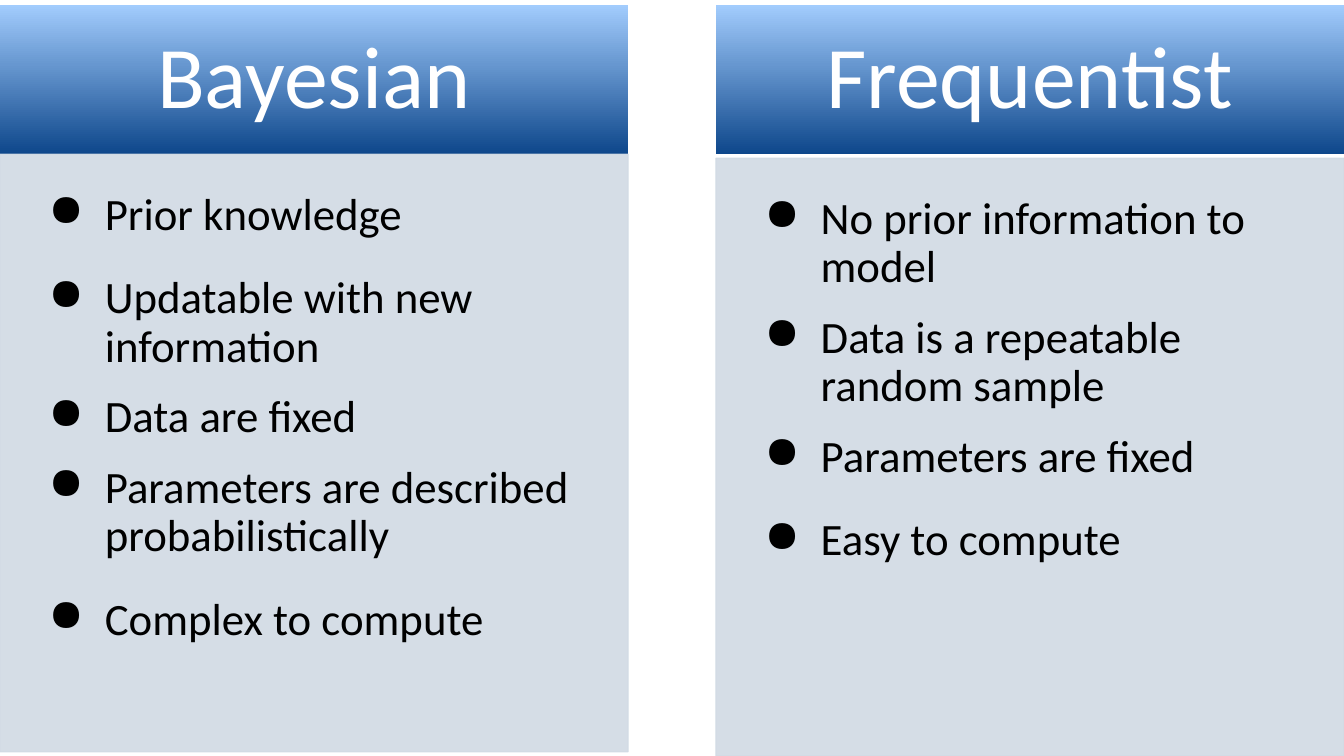
from lxml.etree import SubElement
from pptx import Presentation
from pptx.dml.color import RGBColor
from pptx.enum.shapes import MSO_SHAPE
from pptx.enum.text import MSO_ANCHOR, PP_ALIGN
from pptx.oxml.ns import qn
from pptx.util import Inches, Pt

DARK = RGBColor(0x0E, 0x47, 0x8B)
LIGHT = RGBColor(0xA2, 0xCC, 0xFD)
PALE = RGBColor(0xD1, 0xDA, 0xE4)
WHITE = RGBColor(0xFF, 0xFF, 0xFF)
BLACK = RGBColor(0, 0, 0)
FONT = "Calibri"

# Lengths in inches
WIDE, HIGH = 13.33, 7.5
COL = 6.23
HEAD_TOP, HEAD_HIGH = 0.05, 1.48
BODY_HIGH = 5.93

# Space before a bullet, in points
NEAR, FAR = 15.8, 25.2

# Heading, top of body, bullets with the space before each
SIDES = [
    ("Bayesian", 1.53, [
        ("Prior knowledge", 0),
        ("Updatable with new information", FAR),
        ("Data are fixed", NEAR),
        ("Parameters are described probabilistically", NEAR),
        ("Complex to compute", FAR),
    ]),
    ("Frequentist", 1.57, [
        ("No prior information to model", 0),
        ("Data is a repeatable random sample", NEAR),
        ("Parameters are fixed", NEAR),
        ("Easy to compute", FAR),
    ]),
]


def add_box(slide, left, top, high, pads, anchor):
    box = slide.shapes.add_shape(MSO_SHAPE.RECTANGLE, Inches(left),
                                 Inches(top), Inches(COL), Inches(high))
    box.shadow.inherit = False
    frame = box.text_frame
    frame.word_wrap = True
    frame.vertical_anchor = anchor
    (frame.margin_left, frame.margin_top,
     frame.margin_right, frame.margin_bottom) = map(Inches, pads)
    return box


def set_text(para, text, size, color, align):
    para.text = text
    para.alignment = align
    para.line_spacing = 0.9
    font = para.runs[0].font
    font.name, font.size = FONT, Pt(size)
    font.color.rgb = color


def add_bullet(para):
    props = para._p.get_or_add_pPr()
    props.set("marL", str(Inches(0.67)))
    props.set("indent", str(Inches(-0.56)))
    tint = SubElement(props, qn("a:buClr"))
    SubElement(tint, qn("a:srgbClr"), val=str(BLACK))
    SubElement(props, qn("a:buChar"), char="●")


def add_head(slide, left, title):
    box = add_box(slide, left, HEAD_TOP, HEAD_HIGH,
                  (0.49, 0.28, 0.49, 0.28), MSO_ANCHOR.MIDDLE)
    box.line.fill.background()
    box.fill.gradient()
    box.fill.gradient_angle = 90
    for stop, color in zip(box.fill.gradient_stops, (DARK, LIGHT)):
        stop.color.rgb = color
    para = box.text_frame.paragraphs[0]
    set_text(para, title, 62.7, WHITE, PP_ALIGN.CENTER)
    para.space_after = Pt(21.9)


def add_body(slide, left, top, items):
    box = add_box(slide, left, top, BODY_HIGH,
                  (0.37, 0.37, 0.49, 0.55), MSO_ANCHOR.TOP)
    box.fill.solid()
    box.fill.fore_color.rgb = PALE
    box.line.color.rgb = PALE
    box.line.width = Pt(0.75)
    # Fill and line are 90 % opaque
    for tint in box._element.spPr.iter(qn("a:srgbClr")):
        SubElement(tint, qn("a:alpha"), val="90000")
    frame = box.text_frame
    frame.text = "\n".join(text for text, _ in items)
    for para, (text, space) in zip(frame.paragraphs, items):
        set_text(para, text, 32, BLACK, PP_ALIGN.LEFT)
        para.space_before = Pt(space)
        add_bullet(para)


def main():
    deck = Presentation()
    deck.slide_width, deck.slide_height = Inches(WIDE), Inches(HIGH)
    slide = deck.slides.add_slide(deck.slide_layouts[6])
    # One column at each edge of the slide
    for left, (title, top, items) in zip((0, WIDE - COL), SIDES):
        add_head(slide, left, title)
        add_body(slide, left, top, items)
    deck.save("out.pptx")


if __name__ == "__main__":
    main()
